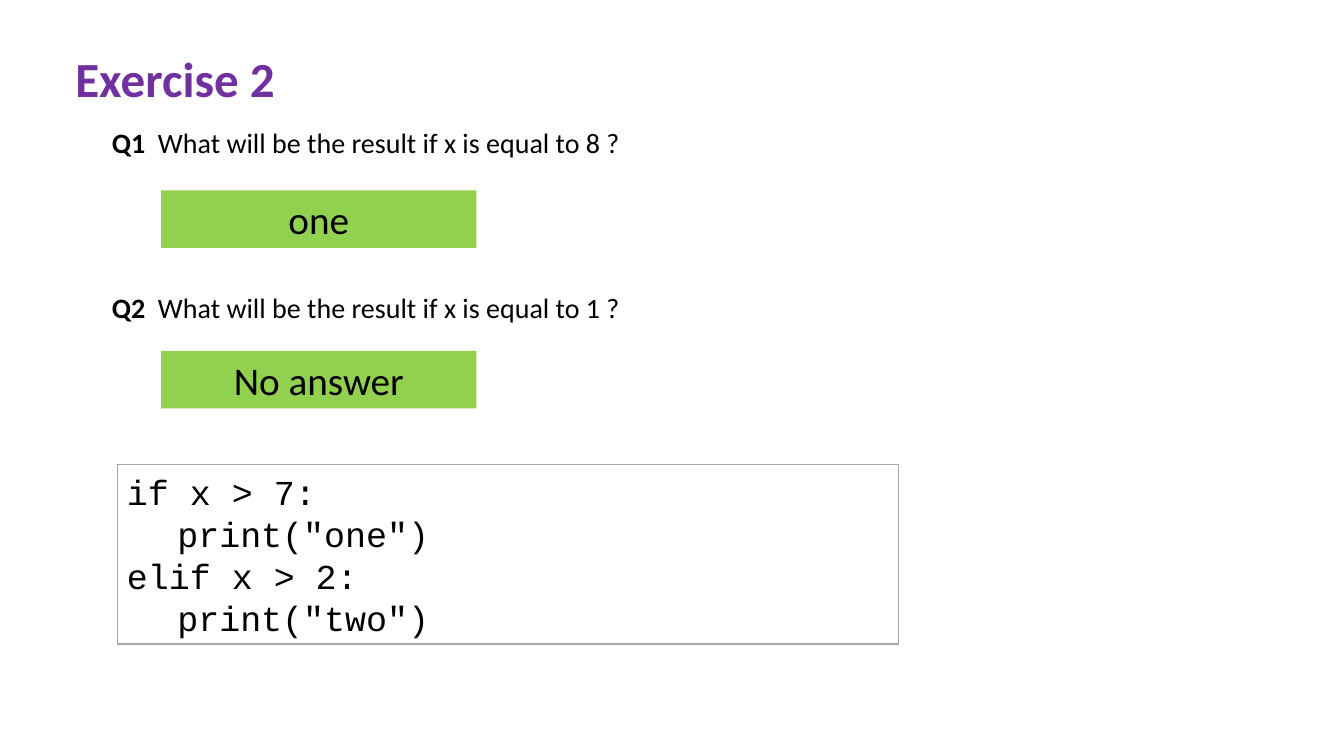
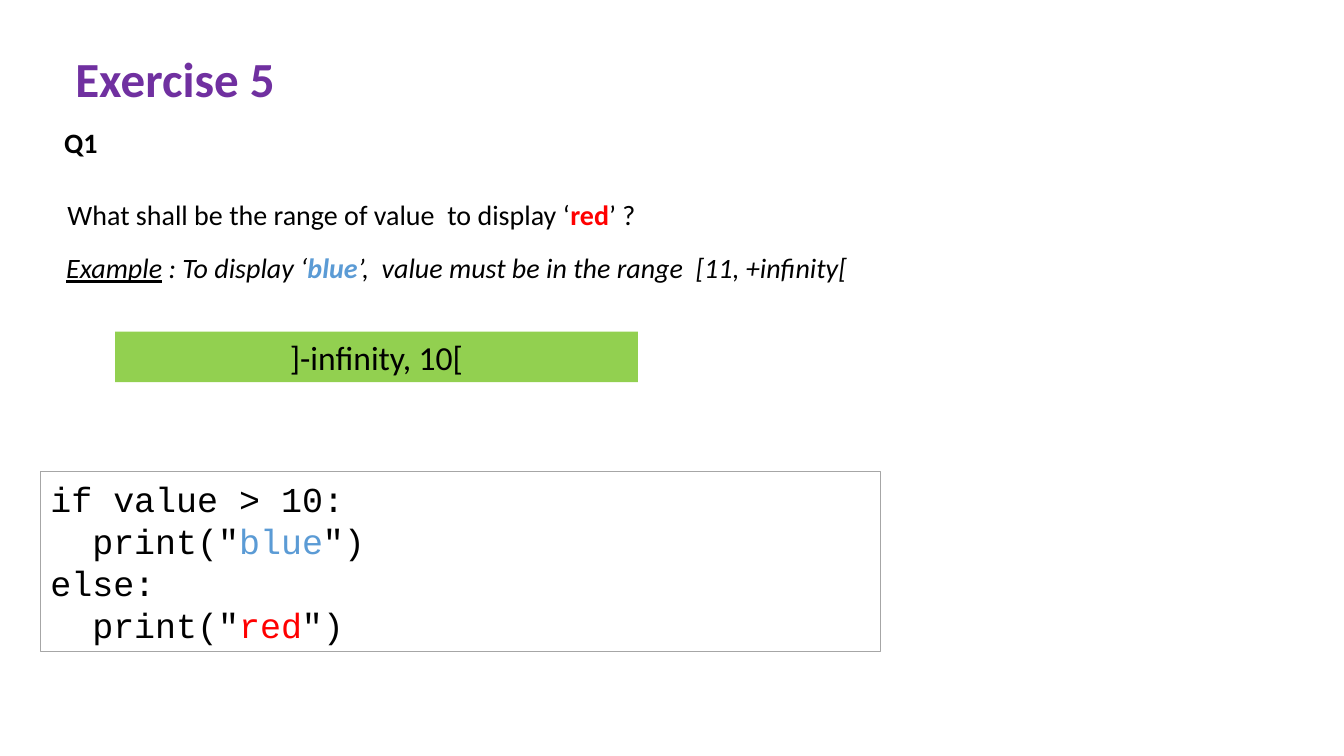
from dataclasses import dataclass

from pptx import Presentation
from pptx.dml.color import RGBColor
from pptx.enum.shapes import MSO_SHAPE
from pptx.enum.text import MSO_AUTO_SIZE, PP_ALIGN
from pptx.slide import Slide
from pptx.text.text import TextFrame
from pptx.util import Cm, Pt

RECT = MSO_SHAPE.RECTANGLE
GROW = MSO_AUTO_SIZE.SHAPE_TO_FIT_TEXT
LEFT = PP_ALIGN.LEFT
CENTER = PP_ALIGN.CENTER

BLACK = RGBColor(0x00, 0x00, 0x00)
PURPLE = RGBColor(0x70, 0x30, 0xA0)
GREEN = RGBColor(0x92, 0xD0, 0x50)
GRAY = RGBColor(0xA6, 0xA6, 0xA6)
BLUE = RGBColor(0x5B, 0x9B, 0xD5)
RED = RGBColor(0xFF, 0x00, 0x00)

SANS = "Calibri"
MONO = "Courier New"


@dataclass(frozen=True)
class Span:
    text: str
    color: RGBColor = BLACK
    bold: bool = False
    slant: bool = False
    under: bool = False


@dataclass(frozen=True)
class Box:
    left: float
    top: float
    width: float
    height: float


@dataclass(frozen=True)
class Prompt:
    box: Box
    spans: list[Span]


@dataclass(frozen=True)
class Answer:
    box: Box
    text: str
    size: int


@dataclass(frozen=True)
class Code:
    box: Box
    lines: list[list[Span]]


@dataclass(frozen=True)
class Page:
    title: str
    prompts: list[Prompt]
    answers: list[Answer]
    code: Code


def place(box: Box) -> tuple[Cm, Cm, Cm, Cm]:
    return Cm(box.left), Cm(box.top), Cm(box.width), Cm(box.height)


def write(frame: TextFrame, lines: list[list[Span]], font: str, size: int,
          align: PP_ALIGN = LEFT) -> None:
    frame.text = "\n".join("" for _ in lines)
    for para, spans in zip(frame.paragraphs, lines):
        para.alignment = align
        for span in spans:
            run = para.add_run()
            run.text = span.text
            run.font.name = font
            run.font.size = Pt(size)
            run.font.color.rgb = span.color
            run.font.bold = span.bold
            run.font.italic = span.slant
            run.font.underline = span.under
    frame.auto_size = GROW


def label(slide: Slide, box: Box, spans: list[Span], size: int) -> None:
    frame = slide.shapes.add_textbox(*place(box)).text_frame
    write(frame, [spans], SANS, size)
    frame.word_wrap = False


def panel(slide: Slide, box: Box, fill: RGBColor | None = None,
          line: RGBColor | None = None) -> TextFrame:
    shape = slide.shapes.add_shape(RECT, *place(box))
    shape.shadow.inherit = False
    if fill is None:
        shape.fill.background()
    else:
        shape.fill.solid()
        shape.fill.fore_color.rgb = fill
    if line is None:
        shape.line.fill.background()
    else:
        shape.line.color.rgb = line
        shape.line.width = Pt(0.75)
    shape.text_frame.word_wrap = True
    return shape.text_frame


def draw(slide: Slide, page: Page) -> None:
    label(slide, TITLE, [Span(page.title, PURPLE, bold=True)], 35)
    for prompt in page.prompts:
        label(slide, prompt.box, prompt.spans, 20)
    for answer in page.answers:
        frame = panel(slide, answer.box, fill=GREEN)
        write(frame, [[Span(answer.text)]], SANS, answer.size, CENTER)
    frame = panel(slide, page.code.box, line=GRAY)
    write(frame, page.code.lines, MONO, 25)


def ask(top: float, name: str, value: int) -> Prompt:
    text = f" What will be the result if x is equal to {value} ?"
    return Prompt(Box(2.57, top, 13.44, 1.12),
                  [Span(f"{name} ", bold=True), Span(text)])


def echo(word: str, color: RGBColor) -> list[Span]:
    return [Span('  print("'), Span(word, color), Span('")')]


TITLE = Box(1.65, 1.09, 5.59, 1.75)

PAGES = [
    Page(
        "Exercise 2",
        [ask(3.05, "Q1", 8), ask(7.19, "Q2", 1)],
        [Answer(Box(4.06, 4.8, 7.95, 1.45), "one", 28),
         Answer(Box(4.06, 8.84, 7.95, 1.45), "No answer", 28)],
        Code(Box(2.95, 11.71, 19.69, 4.52),
             [[Span("if x > 7:")], [Span('\tprint("one")')],
              [Span("elif x > 2:")], [Span('\tprint("two")')]]),
    ),
    Page(
        "Exercise 5",
        [Prompt(Box(1.37, 3.05, 1.52, 1.12), [Span("Q1 ", bold=True)]),
         Prompt(Box(1.45, 4.85, 14.96, 1.12),
                [Span("What shall be the range of value  to display ‘"),
                 Span("red", RED, bold=True), Span("’ ?")]),
         Prompt(Box(1.42, 6.2, 20.35, 1.12),
                [Span("Example", slant=True, under=True),
                 Span(" : To display ‘", slant=True),
                 Span("blue", BLUE, bold=True, slant=True),
                 Span("’,  value must be in the range  [11, +infinity[",
                      slant=True)])],
        [Answer(Box(2.9, 8.36, 13.18, 1.27), "]-infinity, 10[", 24)],
        Code(Box(1.02, 11.89, 21.18, 4.52),
             [[Span("if value > 10: ")], echo("blue", BLUE),
              [Span("else:")], echo("red", RED)]),
    ),
]

deck = Presentation()
deck.slide_width = Cm(33.87)
deck.slide_height = Cm(19.05)
blank = deck.slide_layouts[6]
for page in PAGES:
    draw(deck.slides.add_slide(blank), page)
deck.save("out.pptx")
